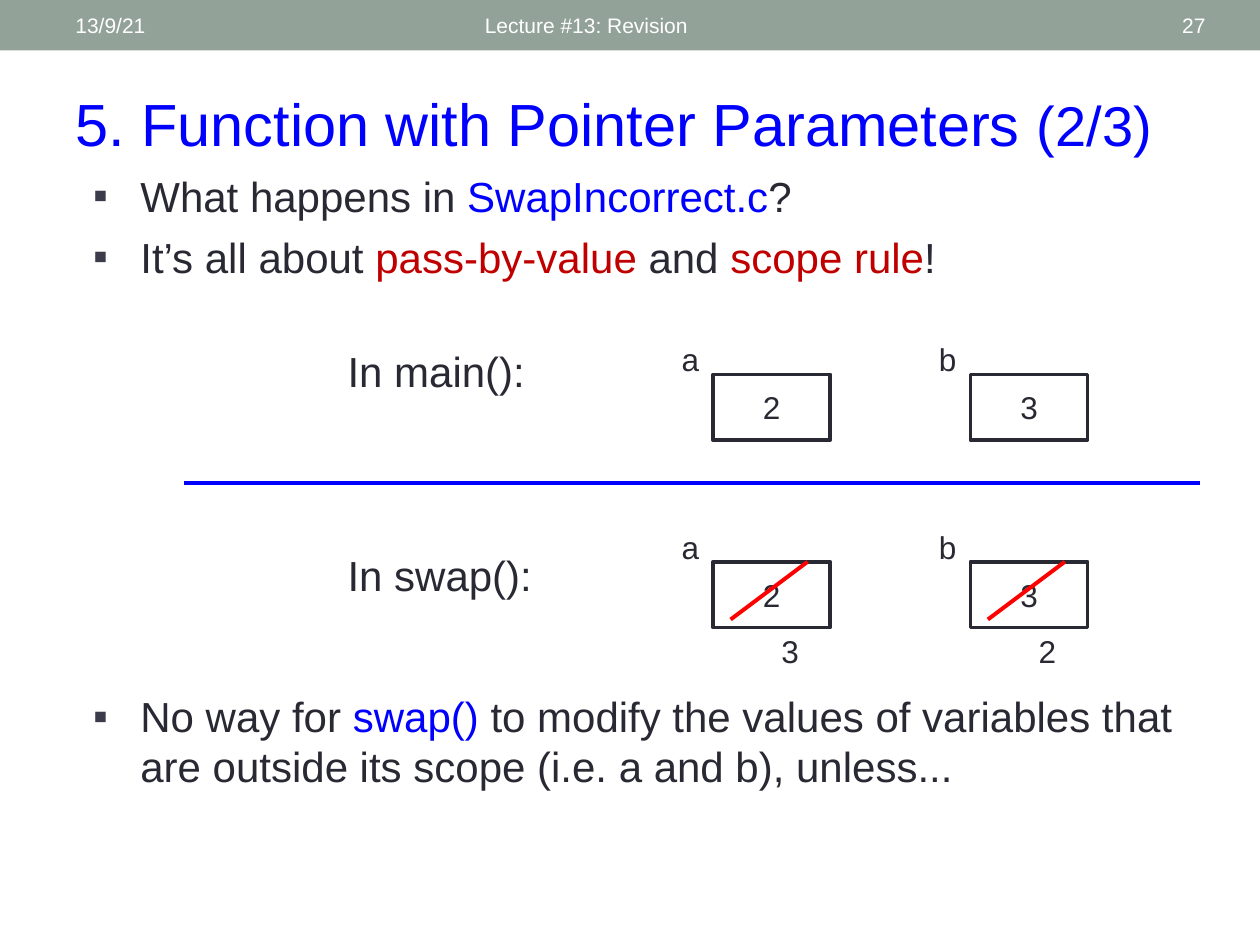
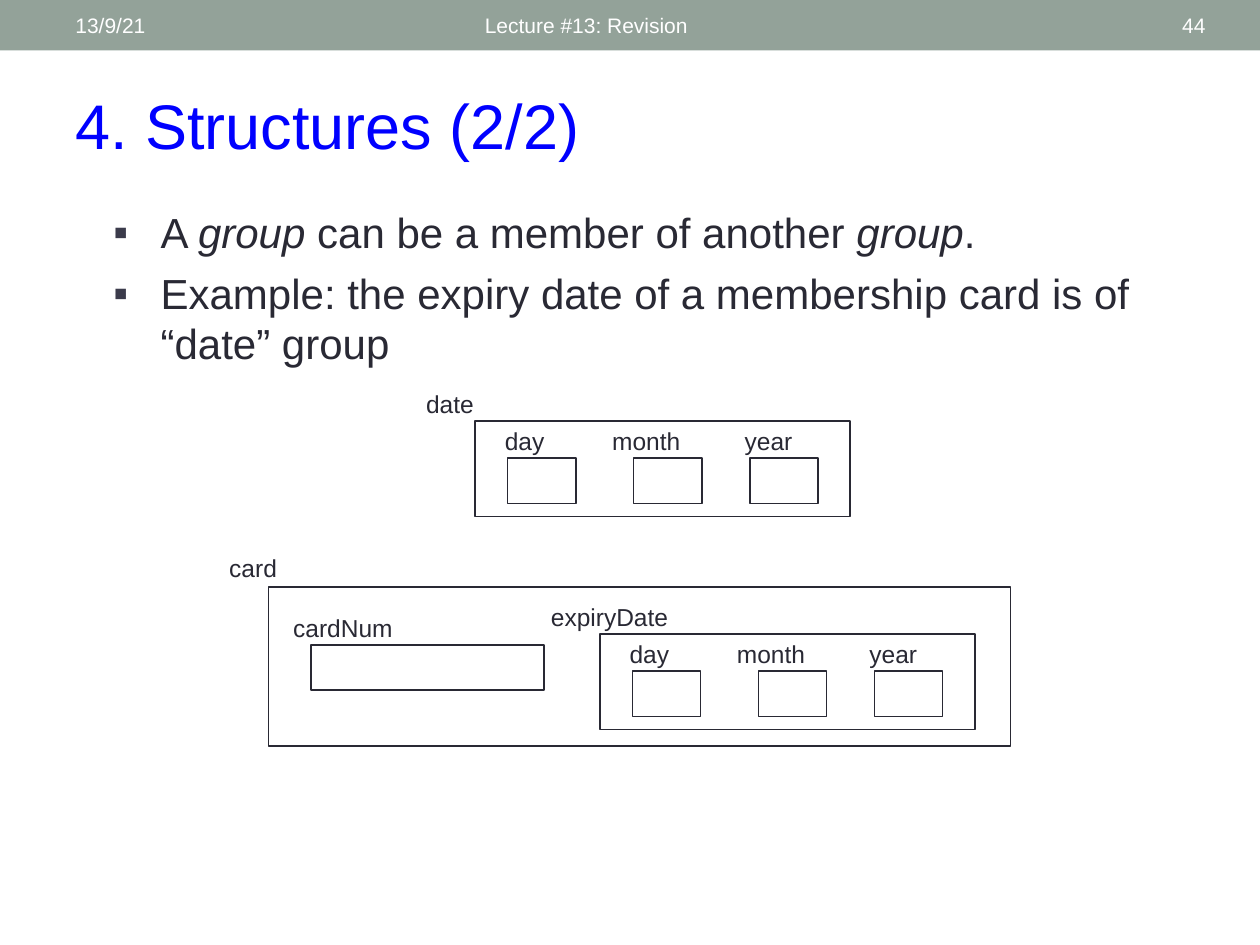
from dataclasses import dataclass

from lxml.etree import SubElement
from pptx import Presentation
from pptx.dml.color import RGBColor as RGB
from pptx.enum.shapes import MSO_CONNECTOR as Conn, MSO_SHAPE as Shape
from pptx.enum.text import MSO_ANCHOR as Anchor, MSO_AUTO_SIZE as Fit, PP_ALIGN as Align
from pptx.oxml.ns import qn
from pptx.util import Pt


@dataclass(frozen=True)
class Theme:
    font: str = "Arial"
    ink: str = "292934"
    blue: str = "0000FF"
    red: str = "C00000"
    strike: str = "FF0000"
    band: str = "93A299"
    white: str = "FFFFFF"
    dot: str = "3B3B4B"
    head: float = 36
    body: float = 24
    value: float = 18
    label: float = 14
    small: float = 12


T = Theme()


# Text and shape helpers

def bullet(para):
    props = para._p.get_or_add_pPr()
    props.set("marL", str(Pt(27)))
    props.set("indent", str(-Pt(27)))
    color = SubElement(props, qn("a:buClr"))
    SubElement(color, qn("a:srgbClr"), val=T.dot)
    SubElement(props, qn("a:buChar"), char="▪")


def write(frame, text, size=T.body, color=T.ink, align=Align.LEFT,
          anchor=Anchor.TOP, dots=False, gap=0):
    """Fill a frame; text is a string or a list of paragraphs made of runs.

    A run is a string or a (string, format) pair.
    """
    frame.word_wrap = True
    frame.auto_size = Fit.NONE
    frame.vertical_anchor = anchor
    paras = [[text]] if isinstance(text, str) else text
    for i, runs in enumerate(paras):
        para = frame.add_paragraph() if i else frame.paragraphs[0]
        if dots:
            bullet(para)
        para.alignment = align
        para.space_before = Pt(gap if i else 0)
        for item in runs:
            words, look = (item, {}) if isinstance(item, str) else item
            run = para.add_run()
            run.text = words
            run.font.name = T.font
            run.font.size = Pt(look.get("size", size))
            run.font.italic = look.get("italic", False)
            run.font.color.rgb = RGB.from_string(look.get("color", color))


def label(slide, text, x, y, w, h, **look):
    box = slide.shapes.add_textbox(Pt(x), Pt(y), Pt(w), Pt(h))
    write(box.text_frame, text, **look)


def rect(slide, x, y, w, h, line=1.0, fill=None):
    box = slide.shapes.add_shape(Shape.RECTANGLE, Pt(x), Pt(y), Pt(w), Pt(h))
    box.shadow.inherit = False
    if fill:
        box.fill.solid()
        box.fill.fore_color.rgb = RGB.from_string(fill)
        box.line.fill.background()
    else:
        box.fill.background()
        box.line.color.rgb = RGB.from_string(T.ink)
        box.line.width = Pt(line)
    return box


def rule(slide, x1, y1, x2, y2, color):
    line = slide.shapes.add_connector(Conn.STRAIGHT, Pt(x1), Pt(y1), Pt(x2), Pt(y2))
    line.line.color.rgb = RGB.from_string(color)
    line.line.width = Pt(2.25)
    SubElement(line._element.spPr, qn("a:effectLst"))


def place(holder, x, y, w, h):
    holder.left, holder.top, holder.width, holder.height = Pt(x), Pt(y), Pt(w), Pt(h)


# Shared slide parts

def header(slide, number):
    rect(slide, 0, 0, 720, 28.8, fill=T.band)
    look = dict(size=T.small, color=T.white, anchor=Anchor.MIDDLE)
    label(slide, "13/9/21", 36, 1.5, 228, 26, **look)
    label(slide, "Lecture #13: Revision", 270, 1.5, 324, 26, **look)
    label(slide, number, 628, 1.5, 68, 26, align=Align.RIGHT, **look)


def start(deck, layout, number, title):
    slide = deck.slides.add_slide(deck.slide_layouts[layout])
    header(slide, number)
    place(slide.shapes.title, 36, 46, 660, 51)
    write(slide.shapes.title.text_frame, title, size=T.head, color=T.blue)
    return slide


def points(slide, slot, items, x, y, w, h):
    holder = slide.placeholders[slot]
    place(holder, x, y, w, h)
    write(holder.text_frame, items, dots=True, gap=6)


# Variables before and after the swap

def cell(slide, name, value, x, y, new=None):
    w, h = 67, 37.5
    box = rect(slide, x, y, w, h, line=2.08)
    write(box.text_frame, value, size=T.value, align=Align.CENTER, anchor=Anchor.MIDDLE)
    look = dict(size=T.value, align=Align.CENTER)
    label(slide, name, x - 31, y - 23, 36, 29, **look)
    if new:
        rule(slide, x + 54, y, x + 10, y + 33, T.strike)
        label(slide, new, x + 22, y + h - 1, 44, 29, **look)


def scope(slide, text, x, y, drop, news=(None, None)):
    """One row of variables; drop is the offset of the row caption."""
    label(slide, text, x, y + drop, 140, 36)
    for i, (name, value, new) in enumerate(zip("ab", "23", news)):
        cell(slide, name, value, x + 216 + 147 * i, y, new)


def pointers(deck):
    title = [[("5. Function with Pointer Parameters ", {"size": 34}),
              ("(2/3)", {"size": 32})]]
    slide = start(deck, 3, "27", title)
    blue, red = {"color": T.blue}, {"color": T.red}
    points(slide, 1, [
        ["What happens in ", ("SwapIncorrect.c", blue), "?"],
        ["It’s all about ", ("pass-by-value ", red), "and", (" scope rule", red), "!"],
    ], 46, 93.6, 648, 79)
    scope(slide, "In main():", 191.5, 214, -20.3)
    rule(slide, 105, 275.8, 685.5, 275.8, T.blue)
    scope(slide, "In swap():", 191.5, 321, -10.7, news="32")
    points(slide, 2, [
        ["No way for ", ("swap() ", blue),
         "to modify the values of variables that are outside its scope "
         "(i.e. a and b), unless..."],
    ], 46, 391, 648, 79)


# Nested structures

def date(slide, name, x, y):
    rect(slide, x, y, 214.5, 54.7)
    label(slide, name, x - 35, y - 22, 104, 24, size=T.label)
    # Field name, its offset, and the offset of its cell
    for field, dx, left in (("day", 10, 18.7), ("month", 71.3, 90.7), ("year", 147, 157)):
        label(slide, field, x + dx, y - 0.5, 60, 24, size=T.label)
        rect(slide, x + left, y + 21.2, 39, 26)


def card(slide, x, y):
    rect(slide, x, y, 424, 90.7)
    label(slide, "card", x - 29.5, y - 23, 140, 24, size=T.label)
    label(slide, "cardNum", x + 7, y + 11, 76, 24, size=T.label)
    rect(slide, x + 24.5, y + 33, 133, 26)
    date(slide, "expiryDate", x + 189.3, y + 26.7)


def structs(deck):
    slide = start(deck, 1, "44", "4. Structures (2/2)")
    slant = {"italic": True}
    points(slide, 1, [
        ["A ", ("group ", slant), "can be a member of another ", ("group", slant), "."],
        ["Example: the expiry date of a membership card is of “date” group"],
    ], 57.6, 114.5, 617, 107)
    date(slide, "date", 271.4, 240.5)
    card(slide, 153.4, 335.5)


def main():
    deck = Presentation()
    deck.slide_width, deck.slide_height = Pt(720), Pt(540)
    pointers(deck)
    structs(deck)
    deck.save("out.pptx")


if __name__ == "__main__":
    main()
